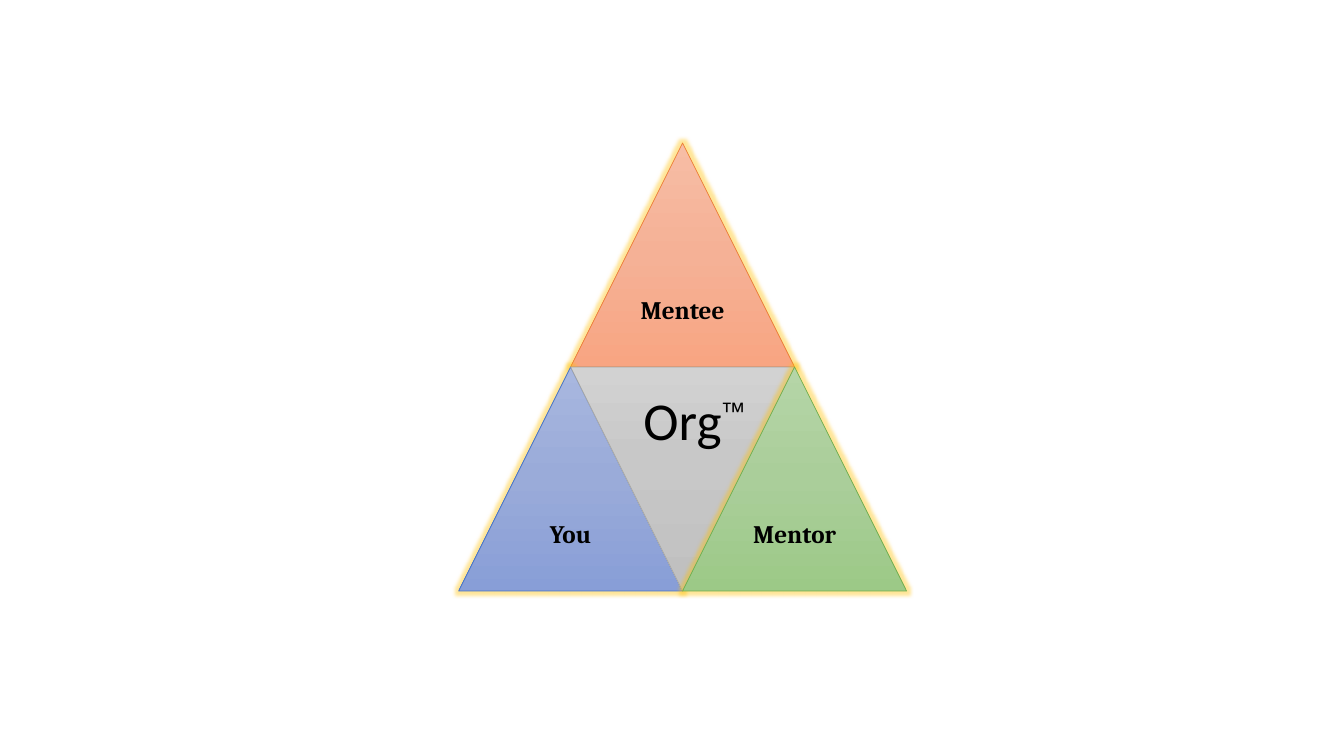
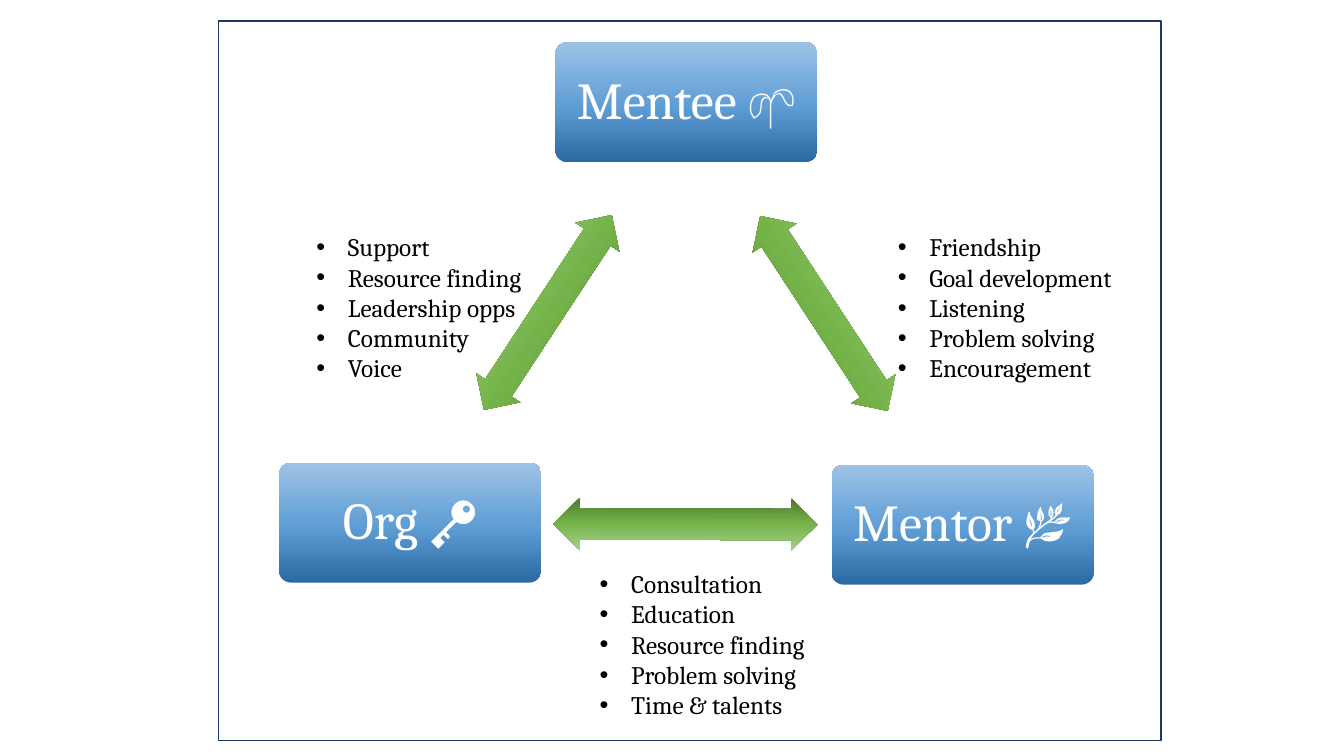
from copy import deepcopy
from dataclasses import dataclass

from lxml.etree import SubElement
from pptx import Presentation
from pptx.dml.color import RGBColor
from pptx.enum.shapes import MSO_SHAPE
from pptx.enum.text import MSO_ANCHOR, PP_ALIGN
from pptx.oxml.ns import qn
from pptx.util import Pt


@dataclass(frozen=True)
class Theme:
    white: str = "FFFFFF"
    black: str = "000000"
    frame_line: str = "203864"
    glow: str = "FFC000"
    orange: tuple = ((0, "F7BDA5"), (0.5, "F5B196"), (1, "F8A582"))
    orange_line: str = "ED7D31"
    blue: tuple = ((0, "A8B7DF"), (0.5, "9AABD9"), (1, "889ED7"))
    blue_line: str = "4472C4"
    gray: tuple = ((0, "D2D2D2"), (0.4, "C8C8C8"), (1, "C0C0C0"))
    gray_line: str = "A5A5A5"
    green: tuple = ((0, "B5D5A7"), (0.5, "AACE9A"), (1, "9CC987"))
    green_line: str = "70AD47"
    role: tuple = ((0, "2A69A2"), (0.48, "609ED6"), (1, "9DC3E6"))
    arrow: tuple = ((0, "4B7430"), (0.48, "74B349"), (1, "A9D18E"))
    serif: str = "Cambria"
    sans: str = "Calibri"
    symbol: str = "Arial"
    body_size: float = 18
    role_size: float = 37
    center_size: float = 38


THEME = Theme()
DOWNWARD, UPWARD = 270, 90


def write(para, text, *, size=THEME.body_size, font=THEME.serif,
          color=THEME.black, bold=False, align=None, spacing=None):
    para.alignment = align
    para.line_spacing = spacing
    span = para.add_run()
    span.text = text
    span.font.size = Pt(size)
    span.font.name = font
    span.font.bold = bold
    span.font.color.rgb = RGBColor.from_string(color)


def add_bullet(para, indent=22.5):
    properties = para._p.get_or_add_pPr()
    properties.set("marL", str(Pt(indent)))
    properties.set("indent", str(Pt(-indent)))
    SubElement(properties, qn("a:buFont"), typeface=THEME.symbol)
    SubElement(properties, qn("a:buChar"), char="•")


def add_glow(shape, radius=5):
    effects = shape._element.spPr.find(qn("a:effectLst"))
    glow = SubElement(effects, qn("a:glow"), rad=str(Pt(radius)))
    color = SubElement(glow, qn("a:srgbClr"), val=THEME.glow)
    SubElement(color, qn("a:alpha"), val="40000")


def fill_gradient(shape, stops, angle):
    shape.fill.gradient()
    shape.fill.gradient_angle = angle
    stop_list = shape._element.spPr.find(qn("a:gradFill")).find(qn("a:gsLst"))
    while len(stop_list) < len(stops):
        stop_list.append(deepcopy(stop_list[0]))
    for stop, (position, color) in zip(shape.fill.gradient_stops, stops):
        stop.position = position
        stop.color.rgb = RGBColor.from_string(color)


class Builder:
    def __init__(self, deck):
        self.deck = deck
        self.page = None

    def new_page(self):
        self.page = self.deck.slides.add_slide(self.deck.slide_layouts[6])

    def shape(self, kind, left, top, width, height, *, fill,
              angle=UPWARD, line=None, line_width=0.5):
        """Add a preset shape; fill is one colour or a tuple of gradient stops."""
        shape = self.page.shapes.add_shape(
            kind, Pt(left), Pt(top), Pt(width), Pt(height))
        shape.shadow.inherit = False
        if isinstance(fill, str):
            shape.fill.solid()
            shape.fill.fore_color.rgb = RGBColor.from_string(fill)
        else:
            fill_gradient(shape, fill, angle)
        if line:
            shape.line.color.rgb = RGBColor.from_string(line)
            shape.line.width = Pt(line_width)
        else:
            shape.line.fill.background()
        return shape

    def label(self, shape, text, inset, **style):
        """Write centred text inside a shape."""
        frame = shape.text_frame
        frame.word_wrap = True
        frame.vertical_anchor = MSO_ANCHOR.MIDDLE
        frame.margin_left = frame.margin_right = Pt(inset)
        frame.margin_top = frame.margin_bottom = Pt(inset)
        write(frame.paragraphs[0], text, align=PP_ALIGN.CENTER,
              spacing=0.9, **style)

    def triangle(self, left, top, side, text, fill, line, *,
                 kind=MSO_SHAPE.ISOSCELES_TRIANGLE, glow=True, **style):
        shape = self.shape(kind, left, top, side, side, fill=fill,
                           angle=DOWNWARD, line=line)
        if glow:
            add_glow(shape)
        self.label(shape, text, 5, **style)

    def role_box(self, left, top, text):
        box = self.shape(MSO_SHAPE.ROUNDED_RECTANGLE, left, top, 187.2, 85.7,
                         fill=THEME.role)
        box.adjustments[0] = 0.1
        self.label(box, text, 10.8, size=THEME.role_size, color=THEME.white)

    def double_arrow(self, left, top, width, rotation):
        arrow = self.shape(MSO_SHAPE.LEFT_RIGHT_ARROW, left, top, width, 37.4,
                           fill=THEME.arrow)
        arrow.adjustments[0] = 0.6
        arrow.adjustments[1] = 0.5
        arrow.rotation = rotation

    def text_box(self, left, top, width, height, wrap=True):
        box = self.page.shapes.add_textbox(
            Pt(left), Pt(top), Pt(width), Pt(height))
        box.text_frame.word_wrap = wrap
        return box.text_frame

    def bullet_list(self, left, top, width, items):
        frame = self.text_box(left, top, width, 116.6)
        for index, item in enumerate(items):
            para = frame.add_paragraph() if index else frame.paragraphs[0]
            write(para, item)
            add_bullet(para)


def build_triangle_page(builder):
    builder.new_page()
    side, left, top = 160, 327.6, 102.2
    middle, base = left + side / 2, top + side
    builder.triangle(middle, top, side, "Mentee", THEME.orange,
                     THEME.orange_line, bold=True)
    builder.triangle(left, base, side, "You", THEME.blue,
                     THEME.blue_line, bold=True)
    builder.triangle(middle, base, side, "Org", THEME.gray, THEME.gray_line,
                     kind=MSO_SHAPE.FLOWCHART_MERGE, glow=False,
                     size=THEME.center_size, font=THEME.sans)
    builder.triangle(left + side, base, side, "Mentor", THEME.green,
                     THEME.green_line, bold=True)
    trademark = builder.text_box(507.6, 278.6, 32.4, 28.8, wrap=False)
    write(trademark.paragraphs[0], "™️", font=THEME.symbol)


def build_relationship_page(builder):
    builder.new_page()
    builder.shape(MSO_SHAPE.RECTANGLE, 156.2, 15.1, 673.2, 514.1,
                  fill=THEME.white, line=THEME.frame_line, line_width=1)
    for left, top, text in ((396.7, 30.2, "Mentee 🌱"),
                            (594, 331.9, "Mentor 🌿"),
                            (199.4, 330.5, "Org 🔑")):
        builder.role_box(left, top, text)
    for left, top, width, rotation in ((505.4, 205.2, 166.3, 56.8),
                                       (395.3, 355.7, 188.6, 180.2),
                                       (308.2, 204.5, 166.3, 303.3)):
        builder.double_arrow(left, top, width, rotation)
    builder.bullet_list(218.9, 162, 162, (
        "Support", "Resource finding", "Leadership opps", "Community", "Voice"))
    builder.bullet_list(634.3, 162, 195.1, (
        "Friendship", "Goal development", "Listening", "Problem solving",
        "Encouragement"))
    builder.bullet_list(421.2, 402.5, 195.1, (
        "Consultation", "Education", "Resource finding", "Problem solving",
        "Time & talents"))


def main():
    deck = Presentation()
    deck.slide_width, deck.slide_height = Pt(960), Pt(540)
    builder = Builder(deck)
    build_triangle_page(builder)
    build_relationship_page(builder)
    deck.save("out.pptx")


if __name__ == "__main__":
    main()
